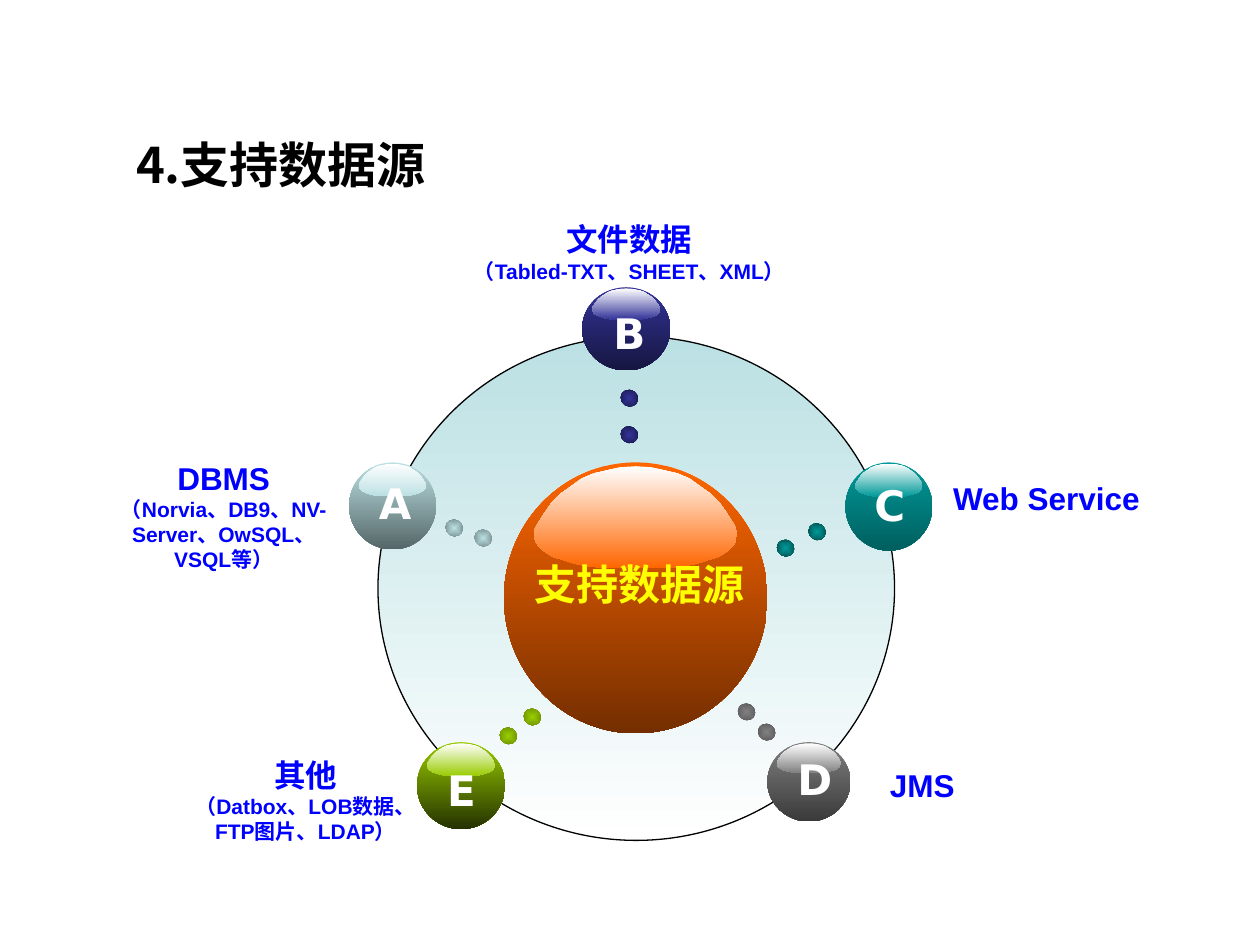
from lxml import etree
from pptx import Presentation
from pptx.dml.color import RGBColor
from pptx.enum.shapes import MSO_SHAPE
from pptx.enum.text import MSO_ANCHOR, MSO_AUTO_SIZE, PP_ALIGN
from pptx.oxml.ns import qn
from pptx.util import Inches, Pt

OVAL = MSO_SHAPE.OVAL
CENTER, LEFT = PP_ALIGN.CENTER, PP_ALIGN.LEFT
MIDDLE = MSO_ANCHOR.MIDDLE
GROW, FIXED = MSO_AUTO_SIZE.SHAPE_TO_FIT_TEXT, MSO_AUTO_SIZE.NONE

COLORS = {
    "black": "000000", "white": "FFFFFF", "yellow": "FFFF00", "label": "0000FF",
    "ice": "BBE0E3", "ice_dark": "556667", "ice_dot": "6C8183",
    "navy": "333399", "navy_dark": "161641", "navy_dot": "171746",
    "teal": "009999", "teal_dark": "005F5F", "teal_dot": "004444",
    "gray": "808080", "gray_dark": "3A3A3A", "gray_dot": "555555",
    "lime": "99CC00", "lime_dark": "253200", "lime_dot": "668800",
    "orange": "FF6600", "orange_dark": "742E00",
}

# Right half of the highlight: x from its axis, y from its top, both 0 to 1
GLOSS_HALF = [
    (0, 0), (.15, .01), (.28, .04), (.41, .07), (.53, .12), (.64, .2),
    (.74, .27), (.83, .36), (.9, .46), (.97, .57), (1, .63), (1, .68),
    (.99, .73), (.96, .78), (.93, .81), (.88, .85), (.81, .89), (.74, .91),
    (.65, .94), (.57, .96), (.47, .98), (.36, .99), (.24, 1),
]

# Letter, colour, ball box, letter box, dot positions
NODES = [
    ("B", "navy", (4.62, 2.28, .7, .66), (4.77, 2.39, .42, .5), [(4.93, 3.09), (4.93, 3.38)]),
    ("E", "lime", (3.31, 5.89, .7, .69), (3.45, 6.02, .38, .5), [(3.97, 5.77), (4.16, 5.62)]),
    ("C", "teal", (6.71, 3.67, .69, .7), (6.84, 3.76, .41, .5), [(6.42, 4.15), (6.17, 4.28)]),
    ("D", "gray", (6.09, 5.89, .66, .63), (6.23, 5.93, .44, .5), [(6.02, 5.74), (5.86, 5.58)]),
    ("A", "ice", (2.77, 3.67, .69, .69), (2.91, 3.74, .43, .5), [(3.54, 4.12), (3.77, 4.2)]),
]

# Label box, heading, details
LABELS = [
    ((.75, 3.59, 2.05, 1), "DBMS", "（Norvia、DB9、NV-Server、OwSQL、VSQL等）"),
    ((3.5, 1.7, 2.99, .6), "文件数据", "（Tabled-TXT、SHEET、XML）"),
    ((1.3, 5.95, 2.25, .8), "其他", "（Datbox、LOB数据、FTP图片、LDAP）"),
    ((6.18, 6.03, 2.28, .4), "JMS", None),
    ((6.81, 3.75, 2.99, .4), "Web Service", None),
]


def rgb(name):
    return RGBColor.from_string(COLORS[name])


def inches(box):
    return [Inches(v) for v in box]


def fill_gradient(sp, first, last, radial=False):
    """Gradient from top to bottom, or from the middle outwards."""
    sp.shadow.inherit = False
    sp.line.fill.background()
    sp.fill.gradient()
    sp.fill.gradient_angle = 270
    for stop, name in zip(sp.fill.gradient_stops, (first, last)):
        stop.color.rgb = rgb(name)
    if radial:
        lin = next(sp._element.iter(qn("a:lin")))
        path = etree.Element(qn("a:path"), {"path": "rect"})
        etree.SubElement(path, qn("a:fillToRect"), dict.fromkeys("ltrb", "50000"))
        lin.getparent().replace(lin, path)


def add_oval(shapes, box, first, last, radial=False):
    sp = shapes.add_shape(OVAL, *inches(box))
    fill_gradient(sp, first, last, radial)
    return sp


def add_gloss(shapes, box, color):
    x, y, w, h = box
    axis, top, half, height = x + w / 2, y + .014 * h, .385 * w, .377 * h
    mirrored = [(-px, py) for px, py in reversed(GLOSS_HALF[1:])]
    points = [(Inches(axis + px * half), Inches(top + py * height))
              for px, py in GLOSS_HALF + mirrored]
    fb = shapes.build_freeform(*points[0])
    fb.add_line_segments(points[1:], close=True)
    fill_gradient(fb.convert_to_shape(), "white", color)


def add_ball(shapes, box, color):
    add_oval(shapes, box, color, color + "_dark")
    add_gloss(shapes, box, color)


def write(p, text, size, color, font="Arial", align=CENTER):
    p.alignment = align
    r = p.add_run()
    r.text = text
    r.font.size, r.font.bold, r.font.name = Pt(size), True, font
    r.font.color.rgb = rgb(color)


def add_text(shapes, box, text, size, color, font="Arial", wrap=True):
    tf = shapes.add_textbox(*inches(box)).text_frame
    tf.word_wrap = wrap
    tf.auto_size = GROW
    write(tf.paragraphs[0], text, size, color, font)
    return tf


def add_title(s, text):
    sp = s.shapes.title
    sp.left, sp.top, sp.width, sp.height = inches((.98, .99, 8.08, .62))
    tf = sp.text_frame
    tf.vertical_anchor, tf.auto_size = MIDDLE, FIXED
    write(tf.paragraphs[0], text, 28, "black", "Noto Sans CJK SC", LEFT)


def add_node(s, letter, color, ball, letter_box, dots):
    shapes = s.shapes.add_group_shape().shapes
    add_ball(shapes, ball, color)
    add_text(shapes, letter_box, letter, 24, "white", "DejaVu Sans", wrap=False)
    for x, y in dots:
        dot = add_oval(s.shapes, (x, y, .13, .14), color, color + "_dot", radial=True)
        dot.rotation = 303.8


def add_label(s, box, heading, details):
    tf = add_text(s.shapes, box, heading, 18, "label")
    if details:
        write(tf.add_paragraph(), details, 12, "label")


def main():
    prs = Presentation()
    prs.slide_width, prs.slide_height = Inches(10), Inches(7.5)
    s = prs.slides.add_slide(prs.slide_layouts[5])
    add_title(s, "4.支持数据源")

    # Large ring
    ring = add_oval(s.shapes, (3, 2.67, 4.1, 4), "ice", "white")
    ring.line.color.rgb = rgb("black")
    ring.line.width = Pt(.75)

    # Central ball
    add_ball(s.shapes.add_group_shape().shapes, (4, 3.67, 2.09, 2.15), "orange")
    add_text(s.shapes, (4.13, 4.38, 1.89, .5), "支持数据源", 24, "yellow")

    # Lettered balls with their dots, then the labels
    for node in NODES:
        add_node(s, *node)
    for label in LABELS:
        add_label(s, *label)

    prs.save("out.pptx")


if __name__ == "__main__":
    main()
